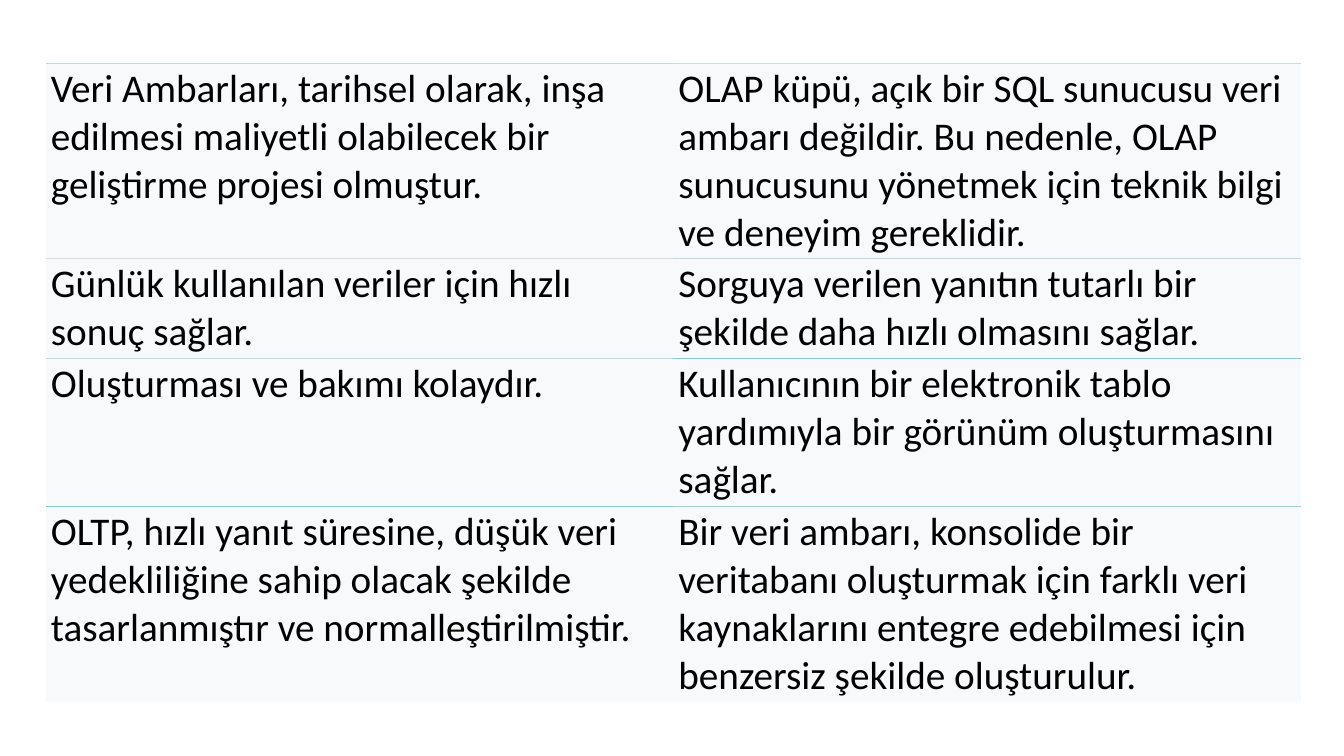
from lxml.etree import SubElement
from pptx import Presentation
from pptx.dml.color import RGBColor
from pptx.oxml.ns import qn
from pptx.util import Pt

ROWS = [
    ("Veri Ambarları, tarihsel olarak, inşa edilmesi maliyetli olabilecek bir geliştirme projesi olmuştur.",
     "OLAP küpü, açık bir SQL sunucusu veri ambarı değildir. Bu nedenle, OLAP sunucusunu yönetmek için teknik bilgi ve deneyim gereklidir."),
    ("Günlük kullanılan veriler için hızlı sonuç sağlar.",
     "Sorguya verilen yanıtın tutarlı bir şekilde daha hızlı olmasını sağlar."),
    ("Oluşturması ve bakımı kolaydır.",
     "Kullanıcının bir elektronik tablo yardımıyla bir görünüm oluşturmasını sağlar."),
    ("OLTP, hızlı yanıt süresine, düşük veri yedekliliğine sahip olacak şekilde tasarlanmıştır ve normalleştirilmiştir.",
     "Bir veri ambarı, konsolide bir veritabanı oluşturmak için farklı veri kaynaklarını entegre edebilmesi için benzersiz şekilde oluşturulur."),
]
ROW_HEIGHTS = [175, 90, 104, 175]

BLACK = RGBColor(0x00, 0x00, 0x00)
CELL_FILL = RGBColor(0xF8, 0xF9, 0xFA)
GRAY = RGBColor(0xE0, 0xDD, 0xD9)
PALE = RGBColor(0xD0, 0xDB, 0xD9)
MIST = RGBColor(0xC0, 0xDC, 0xD9)
MIST_DARK = RGBColor(0xC0, 0xD9, 0xD9)
AQUA = RGBColor(0x90, 0xDC, 0xD9)
TURQUOISE = RGBColor(0x60, 0xDC, 0xD9)
RULES = [(MIST, PALE), (GRAY, MIST_DARK), (MIST, TURQUOISE), (TURQUOISE, AQUA), (None, None)]

FONT = {"name": "Calibri", "size": Pt(28), "bold": False}
RULE_WIDTH = Pt(0.38)


def px(n):
    return round(n * 914400 / 100.8)


MARGINS = {"margin_left": px(5), "margin_right": px(5), "margin_top": px(2), "margin_bottom": px(2)}


def add_border(tc_pr, side, color):
    ln = SubElement(tc_pr, qn(f"a:ln{side}"), w=str(RULE_WIDTH))
    if color is None:
        SubElement(ln, qn("a:noFill"))
    else:
        fill = SubElement(ln, qn("a:solidFill"))
        SubElement(fill, qn("a:srgbClr"), val=str(color))


def fill_cell(cell, text, top, bottom):
    for name, value in MARGINS.items():
        setattr(cell, name, value)
    tc_pr = cell._tc.get_or_add_tcPr()
    for side, color in (("L", None), ("R", None), ("T", top), ("B", bottom)):
        add_border(tc_pr, side, color)
    cell.fill.solid()
    cell.fill.fore_color.rgb = CELL_FILL
    r = cell.text_frame.paragraphs[0].add_run()
    r.text = text
    for name, value in FONT.items():
        setattr(r.font, name, value)
    r.font.color.rgb = BLACK


def main():
    prs = Presentation()
    prs.slide_width, prs.slide_height = px(1344), px(756)
    slide = prs.slides.add_slide(prs.slide_layouts[6])
    frame = slide.shapes.add_table(len(ROWS), 2, px(46), px(63), px(1255), px(630))
    table = frame.table
    table.first_row = table.horz_banding = False
    for i, (texts, height) in enumerate(zip(ROWS, ROW_HEIGHTS)):
        table.rows[i].height = px(height)
        for j, text in enumerate(texts):
            fill_cell(table.cell(i, j), text, RULES[i][j], RULES[i + 1][j])
    frame.height = px(630)
    prs.save("out.pptx")


if __name__ == "__main__":
    main()
